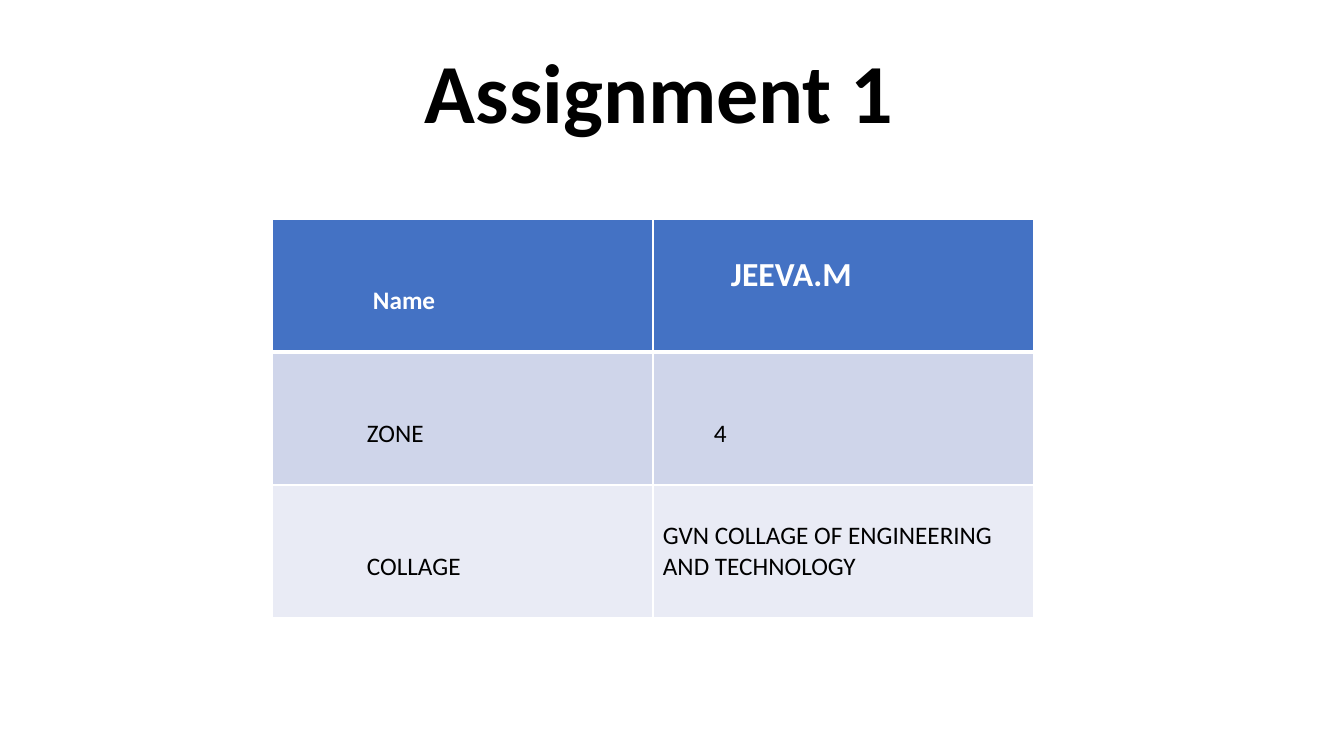
import dataclasses

import lxml.etree
import pptx
import pptx.dml.color
import pptx.enum.text
import pptx.oxml.ns
import pptx.util

EMU_PER_PX = 914400 / 100.8
FONT = "Calibri"
WHITE = pptx.dml.color.RGBColor(0xFF, 0xFF, 0xFF)
BLACK = pptx.dml.color.RGBColor(0x00, 0x00, 0x00)
HEADER_BLUE = pptx.dml.color.RGBColor(0x44, 0x72, 0xC4)
BAND_DARK = pptx.dml.color.RGBColor(0xCF, 0xD5, 0xEA)
BAND_LIGHT = pptx.dml.color.RGBColor(0xE9, 0xEB, 0xF5)

COLUMN_WIDTH = 381
ROW_HEIGHT = 133
SECOND_LINE = 36
THIRD_LINE = 67


@dataclasses.dataclass(frozen=True)
class Entry:
    text: str
    left: int
    top: int
    size: int = 18


@dataclasses.dataclass(frozen=True)
class Band:
    entries: tuple[Entry, Entry]
    fill: pptx.dml.color.RGBColor
    ink: pptx.dml.color.RGBColor = BLACK
    bold: bool = False
    top_line: int = 1
    bottom_line: int = 1


BANDS = (
    Band((Entry("Name", 101, THIRD_LINE), Entry("JEEVA.M", 78, SECOND_LINE, 24)),
         HEADER_BLUE, WHITE, True, bottom_line=3),
    Band((Entry("ZONE", 95, THIRD_LINE), Entry("4", 61, THIRD_LINE)),
         BAND_DARK, top_line=3),
    Band((Entry("COLLAGE", 95, THIRD_LINE),
          Entry("GVN COLLAGE OF ENGINEERING AND TECHNOLOGY", 10, SECOND_LINE)),
         BAND_LIGHT),
)


def px(length: int) -> pptx.util.Emu:
    return pptx.util.Emu(round(length * EMU_PER_PX))


def style_text(paragraph, size: int, ink: pptx.dml.color.RGBColor, bold: bool) -> None:
    for run in paragraph.runs:
        run.font.name = FONT
        run.font.size = pptx.util.Pt(size)
        run.font.bold = bold
        run.font.color.rgb = ink


def draw_borders(cell, band: Band) -> None:
    qn = pptx.oxml.ns.qn
    properties = cell._tc.get_or_add_tcPr()
    widths = {"a:lnL": 1, "a:lnR": 1, "a:lnT": band.top_line, "a:lnB": band.bottom_line}
    for position, (side, width) in enumerate(widths.items()):
        line = lxml.etree.Element(qn(side), w=str(pptx.util.Pt(width)))
        fill = lxml.etree.SubElement(line, qn("a:solidFill"))
        lxml.etree.SubElement(fill, qn("a:srgbClr"), val=str(WHITE))
        properties.insert(position, line)


def fill_cell(cell, entry: Entry, band: Band) -> None:
    cell.margin_left = px(entry.left)
    cell.margin_top = px(entry.top)
    cell.fill.solid()
    cell.fill.fore_color.rgb = band.fill
    cell.text_frame.text = entry.text
    style_text(cell.text_frame.paragraphs[0], entry.size, band.ink, band.bold)
    draw_borders(cell, band)


def add_details(slide) -> None:
    details = slide.shapes.add_table(
        len(BANDS), 2, px(272), px(219), px(2 * COLUMN_WIDTH), px(len(BANDS) * ROW_HEIGHT)
    ).table
    for column in details.columns:
        column.width = px(COLUMN_WIDTH)
    for row, band in zip(details.rows, BANDS):
        row.height = px(ROW_HEIGHT)
        for cell, entry in zip(row.cells, band.entries):
            fill_cell(cell, entry, band)


def add_title(slide) -> None:
    title = slide.shapes.add_textbox(px(108), px(18), px(1103), px(129)).text_frame
    title.word_wrap = True
    title.vertical_anchor = pptx.enum.text.MSO_ANCHOR.BOTTOM
    title.text = "Assignment 1"
    heading = title.paragraphs[0]
    heading.alignment = pptx.enum.text.PP_ALIGN.CENTER
    heading.line_spacing = 0.9
    style_text(heading, 60, BLACK, True)


def main() -> None:
    presentation = pptx.Presentation()
    presentation.slide_width = px(1344)
    presentation.slide_height = px(756)
    slide = presentation.slides.add_slide(presentation.slide_layouts[6])
    add_details(slide)
    add_title(slide)
    presentation.save("out.pptx")


if __name__ == "__main__":
    main()
